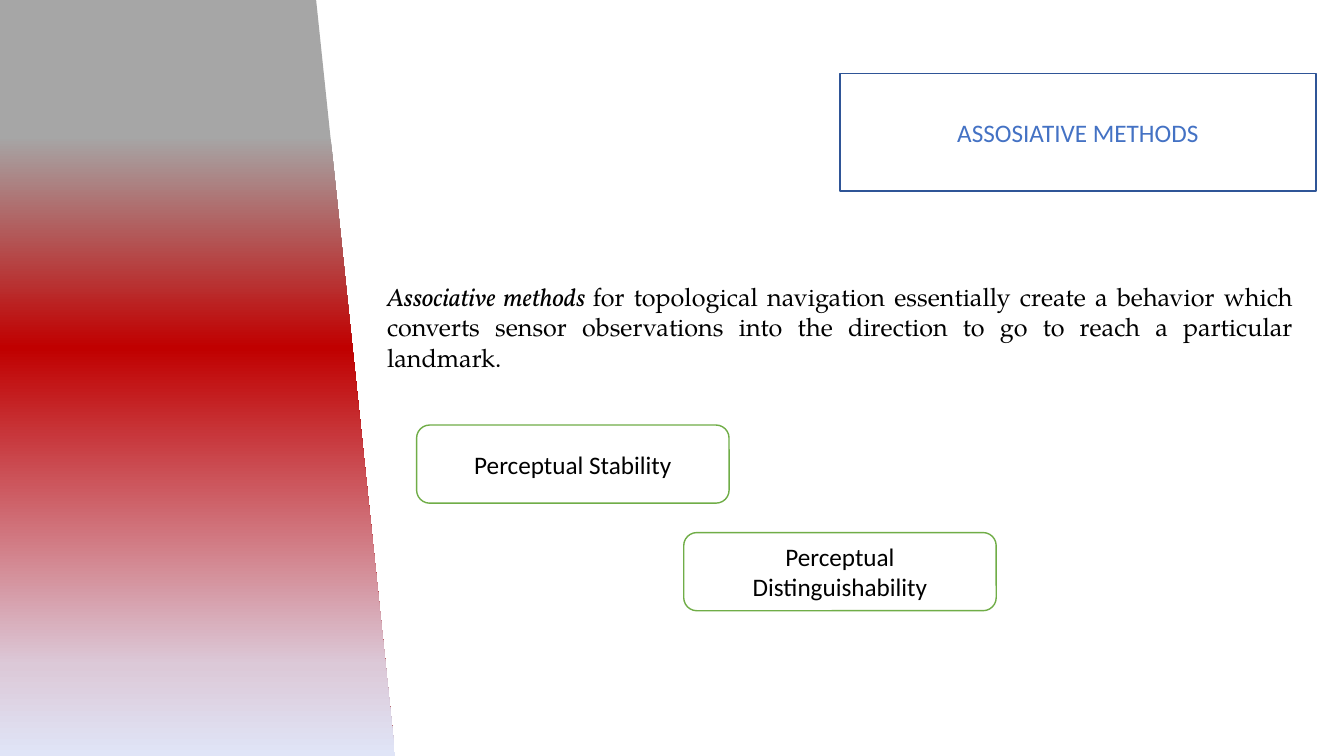
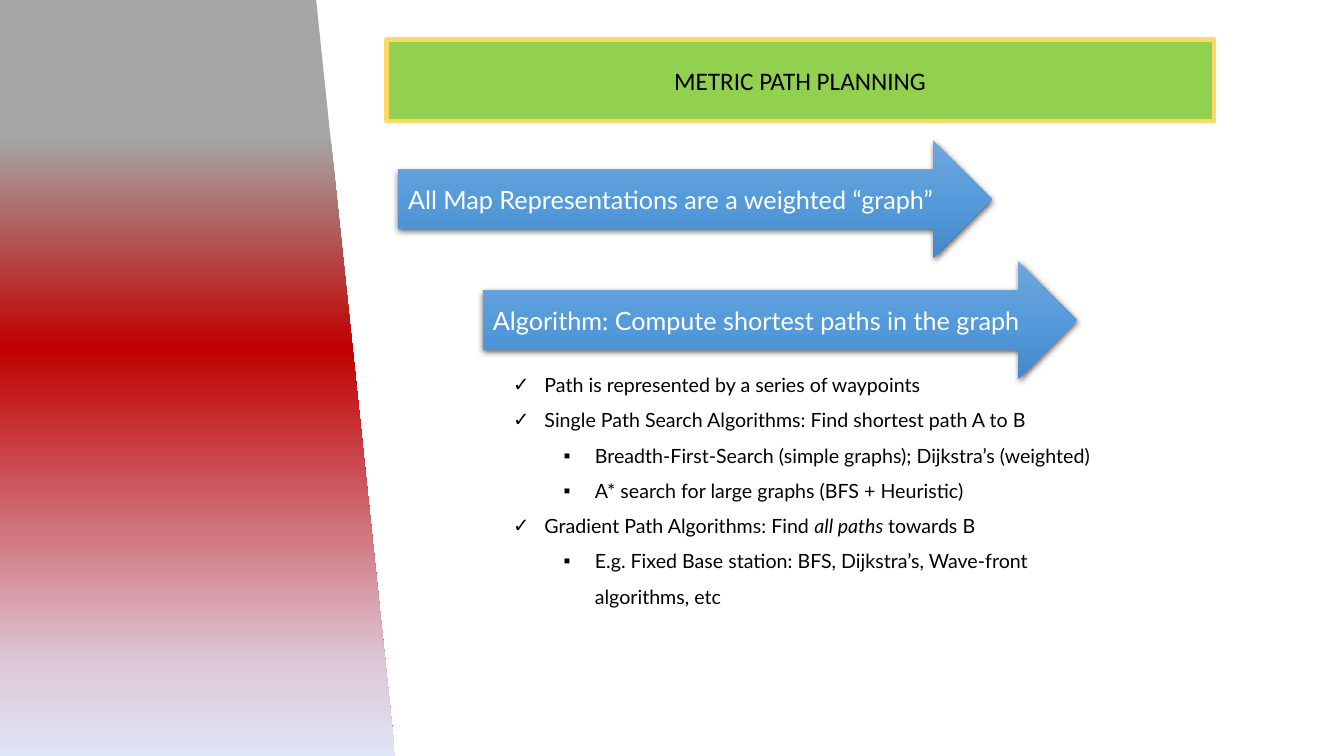
from dataclasses import dataclass

from lxml import etree
from pptx import Presentation
from pptx.dml.color import RGBColor
from pptx.enum.shapes import MSO_SHAPE
from pptx.enum.text import MSO_ANCHOR, MSO_AUTO_SIZE, PP_ALIGN
from pptx.oxml import parse_xml
from pptx.oxml.ns import nsdecls, qn
from pptx.util import Inches, Pt

LEFT, CENTER, JUSTIFY = PP_ALIGN.LEFT, PP_ALIGN.CENTER, PP_ALIGN.JUSTIFY
TOP, MIDDLE = MSO_ANCHOR.TOP, MSO_ANCHOR.MIDDLE
NO_FIT = MSO_AUTO_SIZE.NONE
BAND, CARD, ARROW = (MSO_SHAPE.FLOWCHART_MANUAL_INPUT,
                     MSO_SHAPE.ROUNDED_RECTANGLE, MSO_SHAPE.RIGHT_ARROW)

COLUMNS, ROWS = 160, 90
CELL = Inches(7.5) / ROWS
TITLE_AND_LIST, TITLE_ONLY = 1, 5
COLORS = {
    "text": "000000", "paper": "FFFFFF",
    "callout_text": "4472C4", "callout_line": "2F5597",
    "card_line": "70AD47", "banner": "92D050", "banner_line": "FFD966",
}
BAND_STOPS = [(18, "A6A6A6"), (46, "C00000"), (88, "DCC9D8"), (100, "E0E5F7")]
ARROW_STOPS = [(0, "71A6DB"), (50, "559BDB"), (100, "448ACA")]
BULLETS = ["✓", "▪"]
HANGING = Inches(0.31)
LEVEL_INDENT = Inches(0.5)


@dataclass
class Box:
    left: float
    top: float
    width: float
    height: float

    def lengths(self):
        return [round(value * CELL)
                for value in (self.left, self.top, self.width, self.height)]

    def cascade(self, count, width, height):
        step_x = (self.width - width) / (count - 1)
        step_y = (self.height - height) / (count - 1)
        return [Box(self.left + step_x * index, self.top + step_y * index, width, height)
                for index in range(count)]


def color(name):
    return RGBColor.from_string(COLORS[name])


def place(shape, box):
    shape.left, shape.top, shape.width, shape.height = box.lengths()


def paint(shape, fill, line=None, line_width=1):
    shape.fill.solid()
    shape.fill.fore_color.rgb = color(fill)
    shape.line.color.rgb = color(line)
    shape.line.width = Pt(line_width)


def paint_gradient(shape, stops, angle):
    shape.fill.gradient()
    gradient = shape.element.spPr.find(qn("a:gradFill"))
    gradient.set("rotWithShape", "1")
    for child in list(gradient):
        gradient.remove(child)
    stop_list = etree.SubElement(gradient, qn("a:gsLst"))
    for position, value in stops:
        stop = etree.SubElement(stop_list, qn("a:gs"), pos=str(position * 1000))
        etree.SubElement(stop, qn("a:srgbClr"), val=value)
    etree.SubElement(gradient, qn("a:lin"), ang=str(angle * 60000), scaled="0")
    shape.line.fill.background()


def add_bullet(paragraph, level):
    paragraph.level = level
    properties = paragraph._p.get_or_add_pPr()
    properties.set("marL", str(HANGING + level * LEVEL_INDENT))
    properties.set("indent", str(-HANGING))
    etree.SubElement(properties, qn("a:buChar"), char=BULLETS[level])


def write(shape, paragraphs, size=18, font="Calibri", fill="text", align=CENTER,
          anchor=MIDDLE, spacing=1.0, bulleted=False):
    frame = shape.text_frame
    frame.word_wrap = True
    frame.auto_size = NO_FIT
    frame.vertical_anchor = anchor
    for index, (level, runs) in enumerate(paragraphs):
        paragraph = frame.add_paragraph() if index else frame.paragraphs[0]
        if bulleted:
            add_bullet(paragraph, level)
        paragraph.alignment = align
        paragraph.line_spacing = spacing
        paragraph.space_before = Pt(0)
        for text, changes in runs:
            run = paragraph.add_run()
            run.text = text
            run.font.size = Pt(size)
            run.font.name = changes.get("font", font)
            run.font.italic = changes.get("italic", False)
            run.font.color.rgb = color(fill)


def plain(text, level=0):
    return level, [(text, {})]


def add_shape(slide, kind, box):
    shape = slide.shapes.add_shape(kind, *box.lengths())
    shape.shadow.inherit = False
    return shape


def add_title(slide, box, text, geometry, adjustments, fill, line, line_width, text_fill):
    title = slide.shapes.title
    place(title, box)
    guides = "".join(f'<a:gd name="{name}" fmla="val {value}"/>'
                     for name, value in adjustments.items())
    title.element.spPr.append(parse_xml(
        f'<a:prstGeom {nsdecls("a")} prst="{geometry}">'
        f'<a:avLst>{guides}</a:avLst></a:prstGeom>'))
    paint(title, fill, line, line_width)
    write(title, [plain(text)], fill=text_fill)


def add_cards(slide, box, labels):
    for label, card_box in zip(labels, box.cascade(len(labels), 37.2, 9.3)):
        card = add_shape(slide, CARD, card_box)
        paint(card, "paper", "card_line")
        write(card, [plain(label)])


def add_arrows(slide, box, labels):
    for label, arrow_box in zip(labels, box.cascade(len(labels), 70.7, 14)):
        arrow = add_shape(slide, ARROW, arrow_box)
        paint_gradient(arrow, ARROW_STOPS, 90)
        effects = arrow.element.spPr.find(qn("a:effectLst"))
        effects.append(parse_xml(
            f'<a:outerShdw {nsdecls("a")} blurRad="{Pt(4.5)}" dist="{Pt(1.5)}" '
            'dir="5400000" algn="ctr" rotWithShape="0"><a:srgbClr val="000000">'
            '<a:alpha val="63000"/></a:srgbClr></a:outerShdw>'))
        write(arrow, [plain(label)], font="Lato", fill="paper", align=LEFT)


def add_master_band(presentation, slide, box):
    center_x, center_y = box.left + box.width / 2, box.top + box.height / 2
    turned = Box(center_x - box.height / 2, center_y - box.width / 2,
                 box.height, box.width)
    band = add_shape(slide, BAND, turned)
    band.rotation = 90
    paint_gradient(band, BAND_STOPS, 0)
    presentation.slide_master.shapes.element.insert(2, band.element)


def build_associative(slide):
    add_title(slide, Box(100, 8.75, 56.65, 14), "ASSOSIATIVE METHODS",
              "wedgeRectCallout", {"adj1": 23300, "adj2": 106800},
              "paper", "callout_line", 1, "callout_text")
    definition = slide.shapes.add_textbox(*Box(44.9, 32.9, 110.2, 12.1).lengths())
    write(definition, [(0, [
        ("Associative methods ", {"font": "Vollkorn", "italic": True}),
        ("for topological navigation essentially create a behavior which converts "
         "sensor observations into the direction to go to reach a particular landmark.",
         {}),
    ])], font="TeX Gyre Pagella", align=JUSTIFY, anchor=TOP)
    add_cards(slide, Box(49.6, 50.6, 69, 22.1),
              ["Perceptual Stability", "Perceptual Distinguishability"])


def build_metric(slide):
    add_title(slide, Box(46, 4.7, 98.5, 9.7), "METRIC PATH PLANNING",
              "roundRect", {}, "banner", "banner_line", 3, "text")
    add_arrows(slide, Box(47.4, 16.7, 80.8, 28.4),
               ["All Map Representations are a weighted “graph”",
                "Algorithm: Compute shortest paths in the graph"])
    steps = slide.placeholders[1]
    place(steps, Box(59.9, 42.4, 73.2, 30.6))
    write(steps, [
        plain("Path is represented by a series of waypoints"),
        plain("Single Path Search Algorithms: Find shortest path A to B"),
        plain("Breadth-First-Search (simple graphs); Dijkstra’s (weighted)", 1),
        plain("A* search for large graphs (BFS + Heuristic)", 1),
        (0, [("Gradient Path Algorithms: Find ", {}),
             ("all paths ", {"italic": True}), ("towards B", {})]),
        plain("E.g. Fixed Base station: BFS, Dijkstra’s, Wave-front algorithms, etc", 1),
    ], size=14, font="Lato", align=LEFT, anchor=TOP, spacing=1.5, bulleted=True)


def main():
    presentation = Presentation()
    presentation.slide_width = round(COLUMNS * CELL)
    presentation.slide_height = round(ROWS * CELL)
    layouts = presentation.slide_layouts
    associative = presentation.slides.add_slide(layouts[TITLE_ONLY])
    add_master_band(presentation, associative, Box(0, 0, 47.04, ROWS))
    build_associative(associative)
    build_metric(presentation.slides.add_slide(layouts[TITLE_AND_LIST]))
    presentation.save("out.pptx")


if __name__ == "__main__":
    main()
